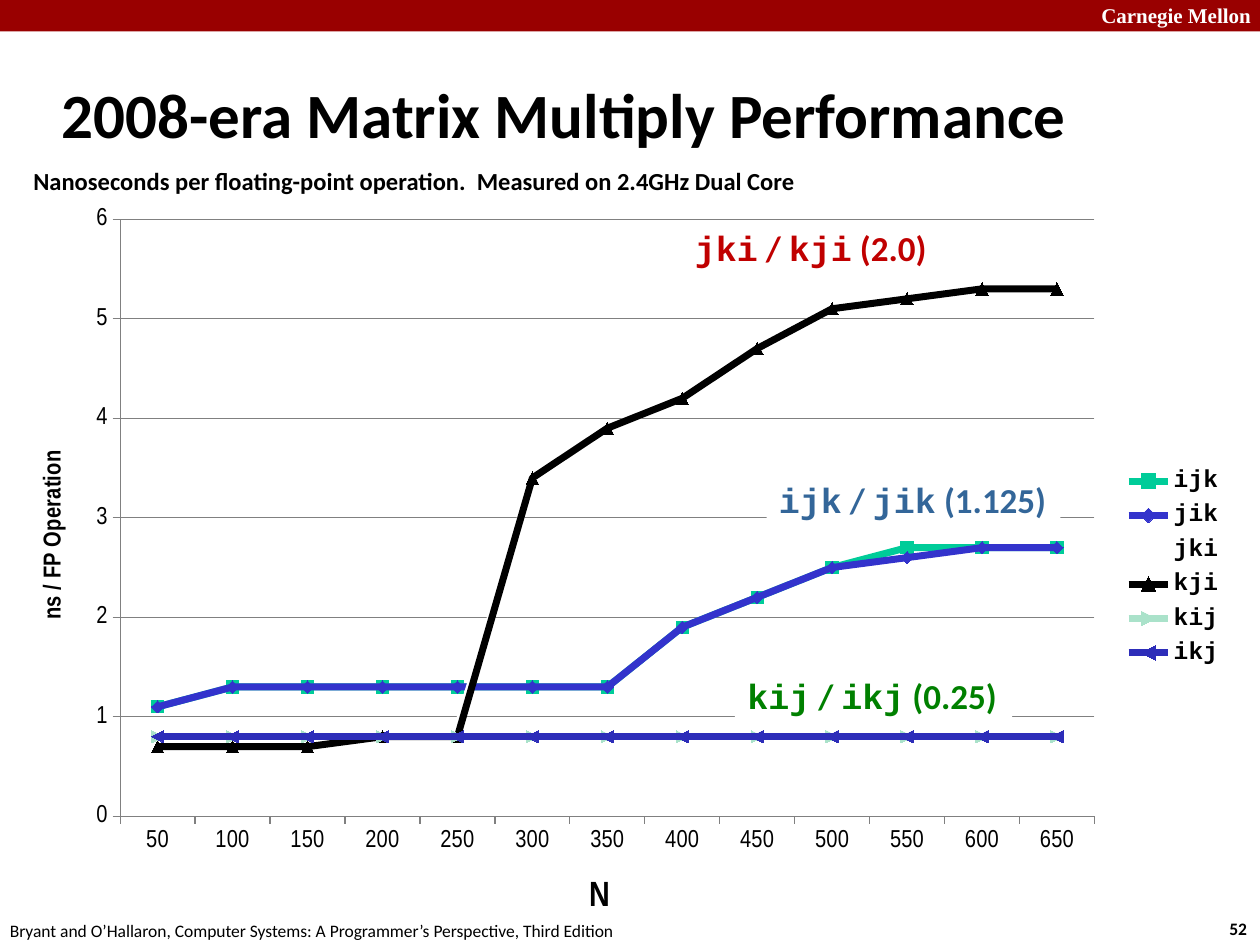
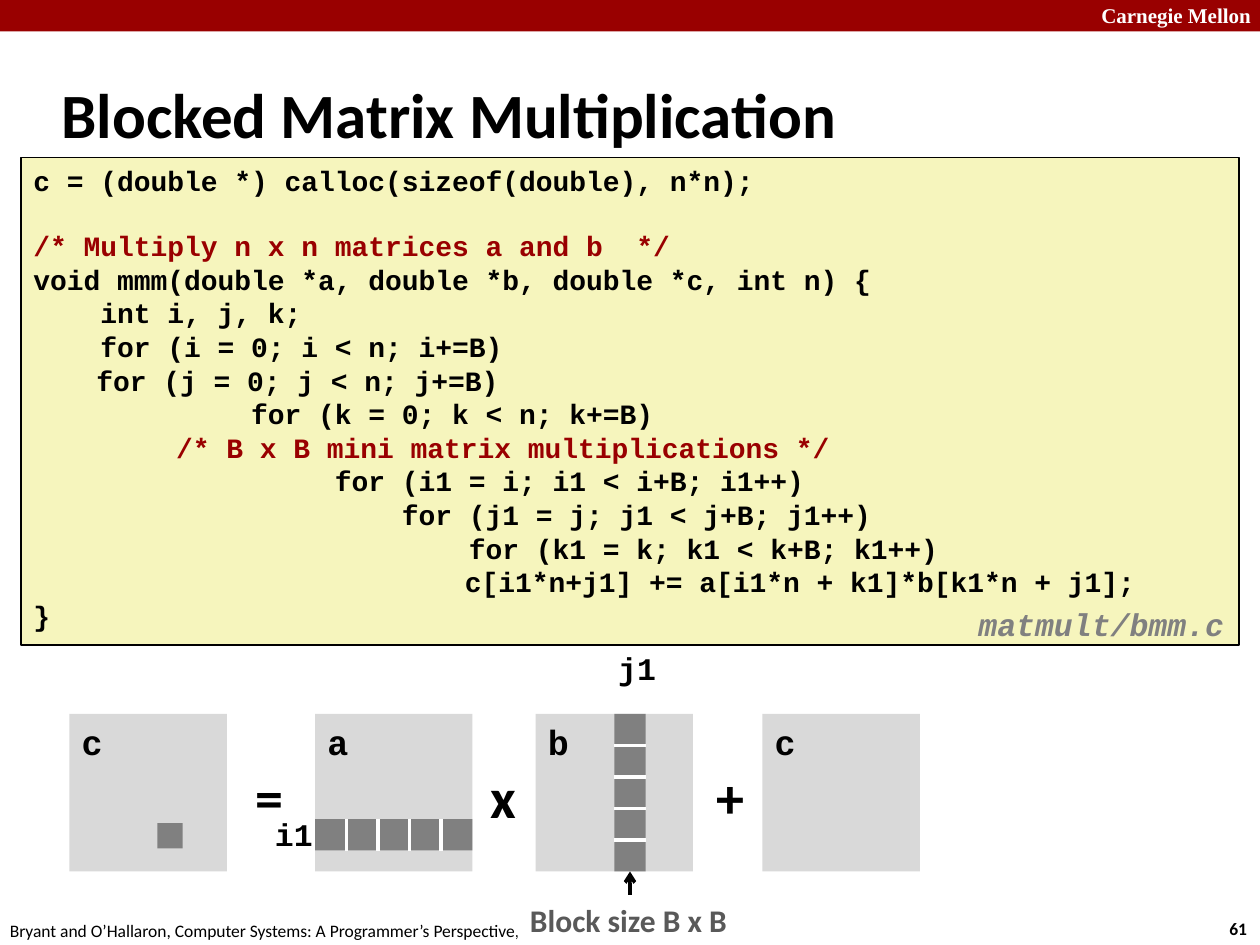
import lxml.etree
import pptx
import pptx.chart.data
import pptx.dml.color
import pptx.enum.chart
import pptx.enum.shapes
import pptx.enum.text
import pptx.oxml.ns
import pptx.util

# The slide is a grid of 120 columns by 90 rows; boxes are (left, top, width, height)
WIDTH, HEIGHT = pptx.util.Inches(10), pptx.util.Inches(7.5)
COLUMNS, ROWS = 120, 90
COLORS = {
    "white": "FFFFFF", "black": "000000", "band": "990000", "comment": "990000",
    "code": "F6F5BD", "matrix": "D9D9D9", "block": "808080", "axis": "808080",
    "caption": "595959", "ijk_text": "336699", "jki_text": "C00000", "kij_text": "008000",
}
SANS, MONO, SERIF, NARROW = "Calibri", "Courier New", "Times New Roman", "Arial Narrow"

SIZES = list(range(50, 651, 50))
SERIES = {
    "ijk": ("00CC99", [1.1] + [1.3] * 6 + [1.9, 2.2, 2.5, 2.7, 2.7, 2.7]),
    "jik": ("3333CC", [1.1] + [1.3] * 6 + [1.9, 2.2, 2.5, 2.6, 2.7, 2.7]),
    "jki": ("FFFFFF", [0.6, 0.7, 0.7, 0.8, 0.9, 3.4, 3.9, 4.2, 4.7, 5.1, 5.2, 5.4, 5.4]),
    "kji": ("000000", [0.7, 0.7, 0.7, 0.8, 0.8, 3.4, 3.9, 4.2, 4.7, 5.1, 5.2, 5.3, 5.3]),
    "kij": ("AAE2CA", [0.8] * 13),
    "ikj": ("2D2DB9", [0.8] * 13),
}
CODE = """c = (double *) calloc(sizeof(double), n*n);

/* Multiply n x n matrices a and b  */
void mmm(double *a, double *b, double *c, int n) {
    int i, j, k;
    for (i = 0; i < n; i+=B)
\tfor (j = 0; j < n; j+=B)
             for (k = 0; k < n; k+=B)
\t\t /* B x B mini matrix multiplications */
                  for (i1 = i; i1 < i+B; i1++)
                      for (j1 = j; j1 < j+B; j1++)
                          for (k1 = k; k1 < k+B; k1++)
\t                      c[i1*n+j1] += a[i1*n + k1]*b[k1*n + j1];
}"""


def rgb(color):
    return pptx.dml.color.RGBColor.from_string(COLORS.get(color, color))


def across(columns):
    return round(WIDTH * columns / COLUMNS)


def down(rows):
    return round(HEIGHT * rows / ROWS)


def place(box):
    left, top, width, height = box
    return across(left), down(top), across(width), down(height)


def style_font(font, size, name=SANS, color="black", bold=True):
    font.size, font.name, font.bold = pptx.util.Pt(size), name, bold
    font.color.rgb = rgb(color)


def add_text(slide, box, text, size, name=SANS, color="black", bold=True, wrap=False):
    shape = slide.shapes.add_textbox(*place(box))
    shape.text_frame.word_wrap = wrap
    shape.text_frame.text = text
    style_font(shape.text_frame.paragraphs[0].runs[0].font, size, name, color, bold)
    return shape


def add_box(slide, box, fill):
    shape = slide.shapes.add_shape(pptx.enum.shapes.MSO_SHAPE.RECTANGLE, *place(box))
    shape.shadow.inherit = False
    shape.fill.solid()
    shape.fill.fore_color.rgb = rgb(fill)
    shape.line.fill.background()
    shape.text_frame.vertical_anchor = pptx.enum.text.MSO_ANCHOR.TOP
    shape.text_frame.paragraphs[0].alignment = pptx.enum.text.PP_ALIGN.LEFT
    return shape


def add_label(slide, box, pieces, size, color, fill="white"):
    """Filled rectangle with one line made of (text, font name) pieces."""
    shape = add_box(slide, box, fill)
    shape.text_frame.word_wrap = False
    for text, name in pieces:
        run = shape.text_frame.paragraphs[0].add_run()
        run.text = text
        style_font(run.font, size, name, color)
    return shape


def add_line(slide, start, end, color):
    line = slide.shapes.add_connector(
        pptx.enum.shapes.MSO_CONNECTOR.STRAIGHT,
        across(start[0]), down(start[1]), across(end[0]), down(end[1]))
    line.line.color.rgb = rgb(color)
    line.line.width = pptx.util.Pt(2)
    properties = line._element.spPr
    lxml.etree.SubElement(properties, pptx.oxml.ns.qn("a:effectLst"))
    return line


def add_frame(presentation, title, number):
    """Blank slide with band, page number, footer and title."""
    slide = presentation.slides.add_slide(presentation.slide_layouts[6])
    add_box(slide, (0, 0, COLUMNS, 3), "band")
    add_text(slide, (103.7, -0.36, 17.2, 3.6), "Carnegie Mellon", 12, SERIF, "white", wrap=True)
    add_text(slide, (115.9, 86.8, 4.4, 3.2), str(number), 10)
    add_text(slide, (-0.24, 87, 61, 3.2), "Bryant and O’Hallaron, Computer Systems: "
             "A Programmer’s Perspective, Third Edition", 10, bold=False)
    heading = add_text(slide, (4.7, 5.75, 99.6, 10), title, 36, wrap=True)
    heading.text_frame.vertical_anchor = pptx.enum.text.MSO_ANCHOR.MIDDLE
    return slide


# Performance chart
def set_layout(element, position, inner=False, **shares):
    """Fix a chart part at shares (x, y, w, h) of the chart's size."""
    qn = pptx.oxml.ns.qn
    for old in element.findall(qn("c:layout")):
        element.remove(old)
    layout = lxml.etree.Element(qn("c:layout"))
    element.insert(position, layout)
    manual = lxml.etree.SubElement(layout, qn("c:manualLayout"))
    settings = [("layoutTarget", "inner")] if inner else []
    settings += [("xMode", "edge"), ("yMode", "edge"), *shares.items()]
    for tag, value in settings:
        lxml.etree.SubElement(manual, qn("c:" + tag)).set("val", str(value))


def style_axis(axis, title, title_size, x, y):
    axis.has_title = True
    axis.axis_title.text_frame.text = title
    run = axis.axis_title.text_frame.paragraphs[0].runs[0]
    style_font(run.font, title_size, NARROW)
    set_layout(axis.axis_title._element, 1, x=x, y=y)
    style_font(axis.tick_labels.font, 14, NARROW, bold=False)
    axis.major_tick_mark = pptx.enum.chart.XL_TICK_MARK.OUTSIDE
    axis.format.line.color.rgb = rgb("axis")


def add_performance_chart(slide, box):
    data = pptx.chart.data.CategoryChartData(number_format="0.0")
    data.categories = [str(size) for size in SIZES]
    for name, (_, values) in SERIES.items():
        data.add_series(name, values)
    chart = slide.shapes.add_chart(
        pptx.enum.chart.XL_CHART_TYPE.LINE_MARKERS, *place(box), data).chart
    chart.has_title = False
    style_font(chart.font, 10, NARROW, bold=False)
    chart.plots[0].vary_by_categories = False

    for series, (color, _) in zip(chart.plots[0].series, SERIES.values()):
        series.smooth = False
        series.format.line.color.rgb = rgb(color)
        series.format.line.width = pptx.util.Pt(4)
        series.marker.size = 7
        series.marker.format.fill.solid()
        series.marker.format.fill.fore_color.rgb = rgb(color)
        series.marker.format.line.color.rgb = rgb(color)

    style_axis(chart.category_axis, "N", 20, 0.47, 0.9)
    values_axis = chart.value_axis
    style_axis(values_axis, "ns / FP Operation", 14, 0.02, 0.34)
    values_axis.minimum_scale, values_axis.maximum_scale, values_axis.major_unit = 0, 6, 1
    values_axis.tick_labels.number_format = "0"
    values_axis.tick_labels.number_format_is_linked = False
    values_axis.has_major_gridlines = True
    values_axis.major_gridlines.format.line.color.rgb = rgb("axis")

    chart.has_legend = True
    chart.legend.position = pptx.enum.chart.XL_LEGEND_POSITION.RIGHT
    chart.legend.include_in_layout = False
    style_font(chart.legend.font, 14, MONO)
    set_layout(chart.legend._element, 1, x=0.91, y=0.36, w=0.09, h=0.28)
    plot_area = chart._chartSpace.chart.plotArea
    set_layout(plot_area, 0, inner=True, x=0.09, y=0.04, w=0.8, h=0.79)


def add_pair_label(slide, box, first, second, misses, color):
    pieces = [(first, MONO), (" / ", SANS), (second, MONO), (f" ({misses})", SANS)]
    add_label(slide, box, pieces, 20, color)


def build_performance_slide(presentation):
    slide = add_frame(presentation, "2008-era Matrix Multiply Performance", 52)
    add_text(slide, (2, 15.25, 77, 4), "Nanoseconds per floating-point operation.  "
             "Measured on 2.4GHz Dual Core", 14)
    add_performance_chart(slide, (1, 18, 116, 72))
    add_pair_label(slide, (73, 45, 28, 5.25), "ijk", "jik", "1.125", "ijk_text")
    add_pair_label(slide, (65, 21, 24.7, 5.25), "jki", "kji", "2.0", "jki_text")
    add_pair_label(slide, (70, 63.6, 26.4, 5.25), "kij", "ikj", "0.25", "kij_text")


# Blocked multiplication
def add_code(slide, box, file_name):
    shape = add_box(slide, box, "code")
    shape.line.color.rgb = rgb("black")
    shape.line.width = pptx.util.Pt(1)
    frame = shape.text_frame
    frame.word_wrap = True
    paragraph, gap = frame.paragraphs[0], 0
    for number, line in enumerate(CODE.split("\n")):
        if not line:
            gap = 18
            continue
        if number:
            paragraph = frame.add_paragraph()
        paragraph.text = line
        paragraph.alignment = pptx.enum.text.PP_ALIGN.LEFT
        if gap:
            paragraph.space_before, gap = pptx.util.Pt(gap), 0
        color = "comment" if line.strip().startswith("/*") else "black"
        style_font(paragraph.runs[0].font, 16, MONO, color)
    left, top, width, height = box
    name = add_text(slide, (left + width - 26, top + height - 4.4, 26.8, 4.7),
                    file_name, 18, MONO, "block")
    name.text_frame.paragraphs[0].runs[0].font.italic = True


def add_matrix(slide, box, name):
    add_label(slide, box, [(name, MONO)], 20, "black", "matrix")


def add_row_strip(slide, box, blocks=5):
    left, top, width, height = box
    add_box(slide, box, "block")
    for index in range(1, blocks):
        x = left + width * index / blocks
        add_line(slide, (x, top), (x, top + height), "white")


def add_column_strip(slide, box, blocks=5):
    left, top, width, height = box
    strip = add_box(slide, box, "block")
    for index in range(1, blocks):
        y = top + height * index / blocks
        add_line(slide, (left, y), (left + width, y), "white")
    return strip


def add_product(slide, box):
    """Picture of c = a x b + c, with matrices as tall as the box."""
    left, top, width, side = box
    result, factor_a, factor_b, addend = left, left + 23.4, left + 44.4, left + width - side
    for name, x in zip("cabc", (result, factor_a, factor_b, addend)):
        add_matrix(slide, (x, top, side, side), name)
    for sign, offset in (("=", 16.6), ("x", 38.9), ("+", 60.5)):
        add_text(slide, (left + offset, top + 4, 5.1, 7.7), sign, 32)

    # Blocks in use, one fifth of a side each
    block = side / 5
    add_box(slide, (result + 8.4, top + 10.4, 2.4, 2.4), "block")
    add_row_strip(slide, (factor_a, top + 10, side, block))
    strip = add_column_strip(slide, (factor_b + side / 2, top, block, side))
    add_text(slide, (factor_a - 5, top + 9, 6, 4.8), "i1", 18, MONO)
    add_text(slide, (factor_b + 6.7, top - 6.8, 6, 4.8), "j1", 18, MONO)

    # Block size caption and its arrow
    center = factor_b + side / 2 + block / 2
    caption = add_label(slide, (center - 10.7, top + side + 2.2, 21.4, 4.8),
                        [("Block size B x B", SANS)], 18, "caption")
    arrow = add_line(slide, (center, top + side + 2.2), (center, top + side), "black")
    arrow.begin_connect(caption, 0)
    arrow.end_connect(strip, 2)
    tail = lxml.etree.SubElement(arrow.line._get_or_add_ln(), pptx.oxml.ns.qn("a:tailEnd"))
    tail.set("type", "arrow")


def build_blocked_slide(presentation):
    slide = add_frame(presentation, "Blocked Matrix Multiplication", 61)
    add_code(slide, (2, 15, 116, 46.4), "matmult/bmm.c")
    add_product(slide, (6.6, 68, 81, 15))


def main():
    presentation = pptx.Presentation()
    presentation.slide_width, presentation.slide_height = WIDTH, HEIGHT
    build_performance_slide(presentation)
    build_blocked_slide(presentation)
    presentation.save("out.pptx")


if __name__ == "__main__":
    main()
